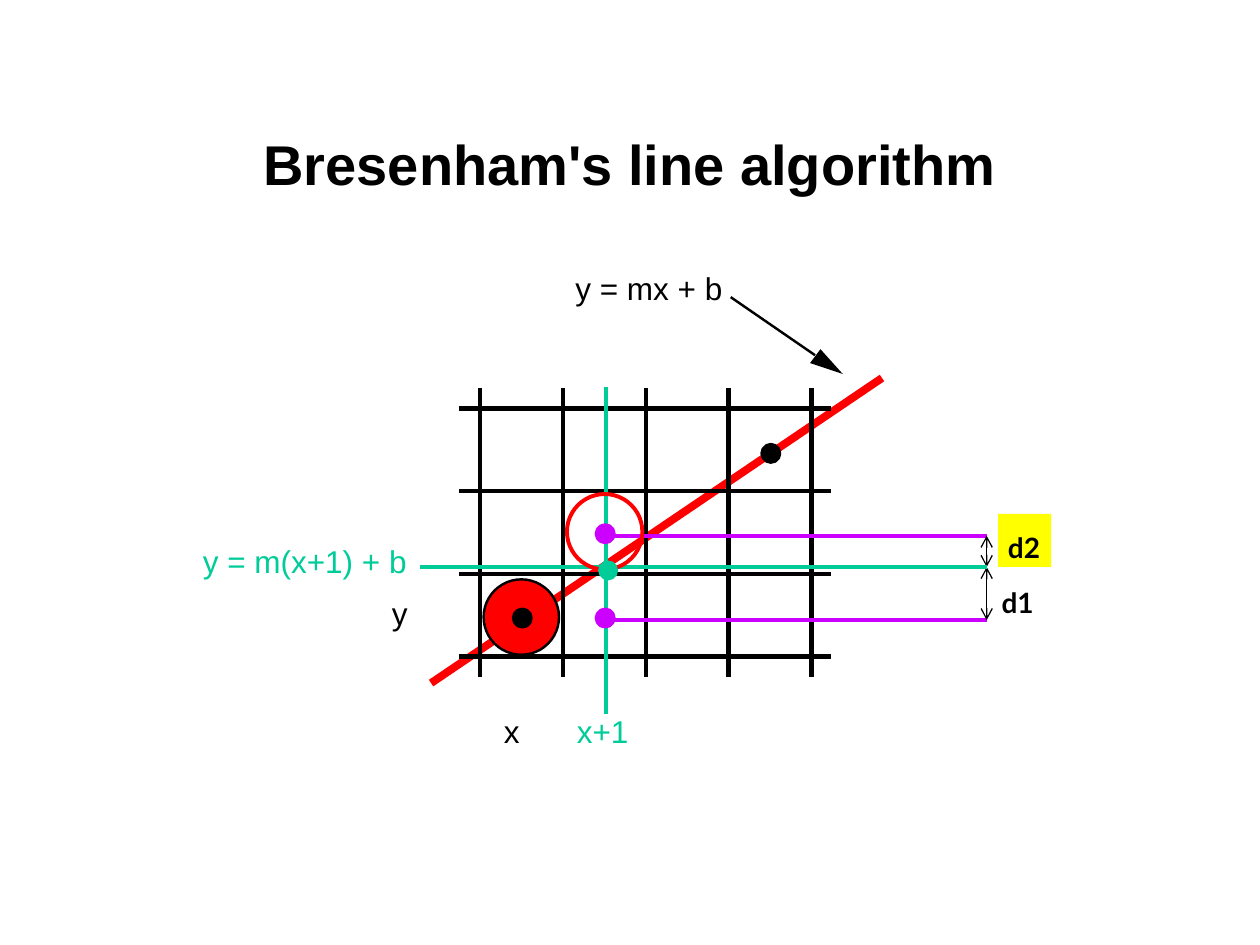
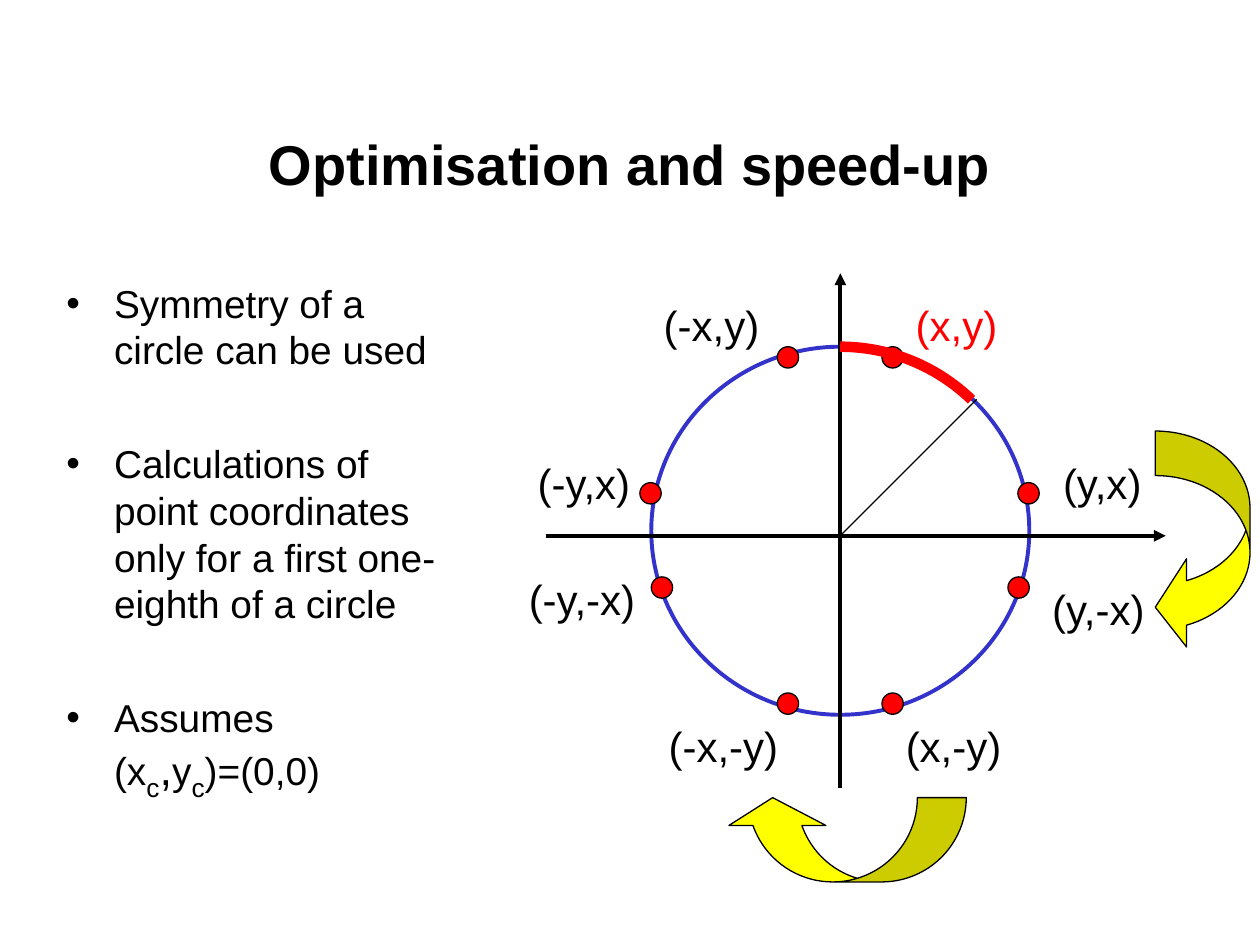
from lxml.etree import SubElement
from pptx import Presentation
from pptx.dml.color import RGBColor
from pptx.enum.shapes import MSO_CONNECTOR, MSO_SHAPE
from pptx.enum.text import MSO_ANCHOR, PP_ALIGN
from pptx.oxml.ns import qn
from pptx.util import Cm, Pt

BLACK, RED, YELLOW = "000000", "FF0000", "FFFF00"
GREEN, PURPLE, BLUE = "00CC99", "CC00FF", "3333CC"

# All positions and sizes are in centimetres.
TITLE_BOX = (1.9, 1.69, 21.6, 3.18)

# Slide 1: pixel grid with the ideal line
GRID_LEFT, GRID_TOP, GRID_STEP = 9.68, 8.23, 1.67
GRID_COLUMNS, GRID_ROWS = 5, 4
GRID_X_SPAN, GRID_Y_SPAN = (9.25, 16.76), (7.82, 13.64)
IDEAL_LINE = ((8.69, 13.77), (17.78, 7.62))
POINTER = ((14.73, 5.99), (16.43, 7.16))
POINTER_HEAD = [(16.99, 7.54), (16.33, 7.32), (16.54, 7.04)]
PIXEL_SIZE, DOT_SIZE = 1.52, 0.33
DISTANCE_X, TRUE_Y, UPPER_Y, LOWER_Y = 19.89, 11.43, 10.8, 12.5
BLACK_DOTS = [(10.53, 12.46), (15.54, 9.14)]
PURPLE_DOTS = [(12.2, 12.46), (12.2, 10.76)]
GREEN_DOT = (12.26, 11.5)
LINE_LABELS = [  # text, left, top, width, colour
    ("x", 9.91, 14.22, 0.81, BLACK),
    ("x+1", 11.38, 14.22, 1.55, GREEN),
    ("y", 7.65, 11.86, 0.81, BLACK),
    ("y = m(x+1) + b", 3.84, 10.8, 4.62, GREEN),
    ("y = mx + b", 11.35, 5.3, 3.8, BLACK),
]
DISTANCE_LABELS = [("d1", 20.19, 11.81), ("d2", 20.32, 10.69)]

# Slide 2: circle symmetry
CENTRE_X, CENTRE_Y, RADIUS = 16.94, 10.8, 3.81
POINT_SIZE = 0.43
POINTS = [  # label, label left, label top, label width, point left, point top
    ("(x,y)", 18.21, 5.92, 2.16, 17.78, 6.99),
    ("(y,x)", 21.18, 9.09, 2.16, 20.52, 9.73),
    ("(x,-y)", 18.01, 14.4, 2.44, 17.78, 13.97),
    ("(y,-x)", 20.96, 11.63, 2.44, 20.32, 11.63),
    ("(-x,y)", 13.13, 5.92, 2.44, 15.67, 6.99),
    ("(-y,x)", 10.59, 9.09, 2.44, 12.9, 9.73),
    ("(-y,-x)", 10.41, 11.43, 2.72, 13.13, 11.63),
    ("(-x,-y)", 13.23, 14.4, 2.72, 15.67, 13.97),
]
BODY_SIZE, LARGE_SIZE = 22.2, 25.9
BULLETS = [  # spans: text, size, whether it is a subscript
    [("Symmetry of a circle can be used", BODY_SIZE, False)],
    [("Calculations of point coordinates only for a first one-eighth of a circle",
      BODY_SIZE, False)],
    [("Assumes (x", BODY_SIZE, False), ("c", LARGE_SIZE, True), (",", LARGE_SIZE, False),
     ("y", BODY_SIZE, False), ("c", LARGE_SIZE, True), (")=(0,0)", BODY_SIZE, False)],
]


def rgb(colour):
    return RGBColor.from_string(colour)


def style_span(span, size, colour=BLACK, font="Arial", bold=False):
    span.font.size = Pt(size)
    span.font.name = font
    span.font.bold = bold
    span.font.color.rgb = rgb(colour)


def add_text(page, text, left, top, width, height, inset=True, **style):
    box = page.shapes.add_textbox(Cm(left), Cm(top), Cm(width), Cm(height))
    frame = box.text_frame
    frame.word_wrap = True
    if not inset:
        frame.margin_left = frame.margin_right = 0
        frame.margin_top = frame.margin_bottom = 0
    span = frame.paragraphs[0].add_run()
    span.text = text
    style_span(span, **style)
    frame.word_wrap = False


def paint(shape, fill=None, line=None, weight=0.75):
    shape.shadow.inherit = False
    if fill:
        shape.fill.solid()
        shape.fill.fore_color.rgb = rgb(fill)
    else:
        shape.fill.background()
    if line:
        shape.line.color.rgb = rgb(line)
        shape.line.width = Pt(weight)
    else:
        shape.line.fill.background()


def add_shape(page, kind, left, top, width, height, adjustments=(), **look):
    shape = page.shapes.add_shape(kind, Cm(left), Cm(top), Cm(width), Cm(height))
    for index, value in enumerate(adjustments):
        shape.adjustments[index] = value
    paint(shape, **look)
    return shape


def add_dot(page, centre, colour, weight=2.64):
    left, top = (value - DOT_SIZE / 2 for value in centre)
    add_shape(page, MSO_SHAPE.OVAL, left, top, DOT_SIZE, DOT_SIZE,
              fill=colour, line=colour, weight=weight)


def add_line(page, start, end, colour=BLACK, weight=2.25, head=None, tail=None):
    """Draw a straight line; head and tail name the arrowheads at start and end."""
    connector = page.shapes.add_connector(
        MSO_CONNECTOR.STRAIGHT, *(Cm(value) for value in (*start, *end)))
    connector.line.color.rgb = rgb(colour)
    connector.line.width = Pt(weight)
    properties = connector._element.spPr
    outline = properties.find(qn("a:ln"))
    for tag, arrow in (("a:headEnd", head), ("a:tailEnd", tail)):
        if arrow:
            SubElement(outline, qn(tag), type=arrow)
    SubElement(properties, qn("a:effectLst"))


def add_page(deck, title):
    page = deck.slides.add_slide(deck.slide_layouts[5])
    box = page.shapes.title
    box.left, box.top, box.width, box.height = (Cm(value) for value in TITLE_BOX)
    box.text_frame.vertical_anchor = MSO_ANCHOR.MIDDLE
    para = box.text_frame.paragraphs[0]
    para.alignment = PP_ALIGN.CENTER
    span = para.add_run()
    span.text = title
    style_span(span, 32, bold=True)
    return page


def add_grid(page):
    for column in range(GRID_COLUMNS):
        x = GRID_LEFT + column * GRID_STEP
        add_line(page, (x, GRID_Y_SPAN[0]), (x, GRID_Y_SPAN[1]), weight=2.64)
    for row in range(GRID_ROWS):
        y = GRID_TOP + row * GRID_STEP
        add_line(page, (GRID_X_SPAN[0], y), (GRID_X_SPAN[1], y), weight=2.64)


def build_line_page(deck):
    page = add_page(deck, "Bresenham's line algorithm")
    add_shape(page, MSO_SHAPE.RECTANGLE, 20.12, 10.36, 1.07, 1.07, fill=YELLOW)
    add_line(page, *IDEAL_LINE, colour=RED, weight=4.5)
    add_grid(page)
    add_shape(page, MSO_SHAPE.OVAL, 9.75, 11.68, PIXEL_SIZE, PIXEL_SIZE,
              fill=RED, line=BLACK, weight=1.39)

    add_line(page, *POINTER, weight=1.39)
    corners = [(Cm(x), Cm(y)) for x, y in POINTER_HEAD]
    builder = page.shapes.build_freeform(*corners[0])
    builder.add_line_segments(corners[1:], close=True)
    paint(builder.convert_to_shape(), fill=BLACK)

    for centre in BLACK_DOTS:
        add_dot(page, centre, BLACK)
    add_line(page, (12.22, 7.8), (12.22, 14.4), GREEN)
    for centre in PURPLE_DOTS:
        add_dot(page, centre, PURPLE)
    for y in (LOWER_Y, UPPER_Y):
        add_line(page, (12.07, y), (DISTANCE_X, y), PURPLE)
        add_line(page, (DISTANCE_X, min(y, TRUE_Y)), (DISTANCE_X, max(y, TRUE_Y)),
                 weight=0.75, head="arrow", tail="arrow")
    add_line(page, (8.46, TRUE_Y), (DISTANCE_X, TRUE_Y), GREEN)

    for text, left, top in DISTANCE_LABELS:
        add_text(page, text, left, top, 0.69, 0.69, inset=False,
                 size=16, font="Lato", bold=True)
    for text, left, top, width, colour in LINE_LABELS:
        add_text(page, text, left, top, width, 1.02, size=18, colour=colour)
    add_shape(page, MSO_SHAPE.OVAL, 11.43, 9.96, PIXEL_SIZE, PIXEL_SIZE,
              line=RED, weight=2.25)
    add_dot(page, GREEN_DOT, GREEN, weight=2)


def add_bullets(page):
    box = page.shapes.add_textbox(Cm(1.09), Cm(5.51), Cm(8.46), Cm(12.42))
    frame = box.text_frame
    frame.word_wrap = True
    for index, spans in enumerate(BULLETS):
        para = frame.paragraphs[0] if index == 0 else frame.add_paragraph()
        para.space_after = Pt(38.5)
        properties = para._p.get_or_add_pPr()
        properties.set("marL", str(Cm(0.96)))
        properties.set("indent", str(Cm(-0.96)))
        SubElement(properties, qn("a:buFont"), typeface="Arial")
        SubElement(properties, qn("a:buChar"), char="•")
        for text, size, subscript in spans:
            span = para.add_run()
            span.text = text
            style_span(span, size)
            if subscript:
                span.font._element.set("baseline", "-25000")


def build_circle_page(deck):
    page = add_page(deck, "Optimisation and speed-up")
    add_bullets(page)
    left, top = CENTRE_X - RADIUS, CENTRE_Y - RADIUS
    add_shape(page, MSO_SHAPE.OVAL, left, top, 2 * RADIUS, 7.42, line=BLUE, weight=2.25)
    add_line(page, (CENTRE_X, 15.88), (CENTRE_X, 5.51), tail="triangle")
    add_line(page, (11, CENTRE_Y), (23.5, CENTRE_Y), tail="triangle")
    add_line(page, (CENTRE_X, CENTRE_Y), (19.69, 8.05), weight=0.75)

    for text, text_left, text_top, width, point_left, point_top in POINTS:
        add_shape(page, MSO_SHAPE.OVAL, point_left, point_top, POINT_SIZE, POINT_SIZE,
                  fill=RED, line=BLACK)
        add_text(page, text, text_left, text_top, width, 1.27, size=24,
                 colour=RED if text == "(x,y)" else BLACK)

    add_shape(page, MSO_SHAPE.CURVED_LEFT_ARROW, 23.29, 8.69, 1.91, 4.44,
              (0.47, 0.93, 0.33), fill=YELLOW, line=BLACK)
    mirror = add_shape(page, MSO_SHAPE.CURVED_UP_ARROW, 14.6, 16.08, 4.88, 1.7,
                       (0.58, 1.15, 0.33), fill=YELLOW, line=BLACK)
    mirror._element.spPr.find(qn("a:xfrm")).set("flipH", "1")
    # Arc angles count 0.6 units to the degree, clockwise from three o'clock.
    add_shape(page, MSO_SHAPE.ARC, left, top, 2 * RADIUS, 2 * RADIUS,
              (270 * 0.6, 314 * 0.6), line=RED, weight=6)


def main():
    deck = Presentation()
    deck.slide_width, deck.slide_height = Cm(25.4), Cm(19.05)
    build_line_page(deck)
    build_circle_page(deck)
    deck.save("out.pptx")


if __name__ == "__main__":
    main()
